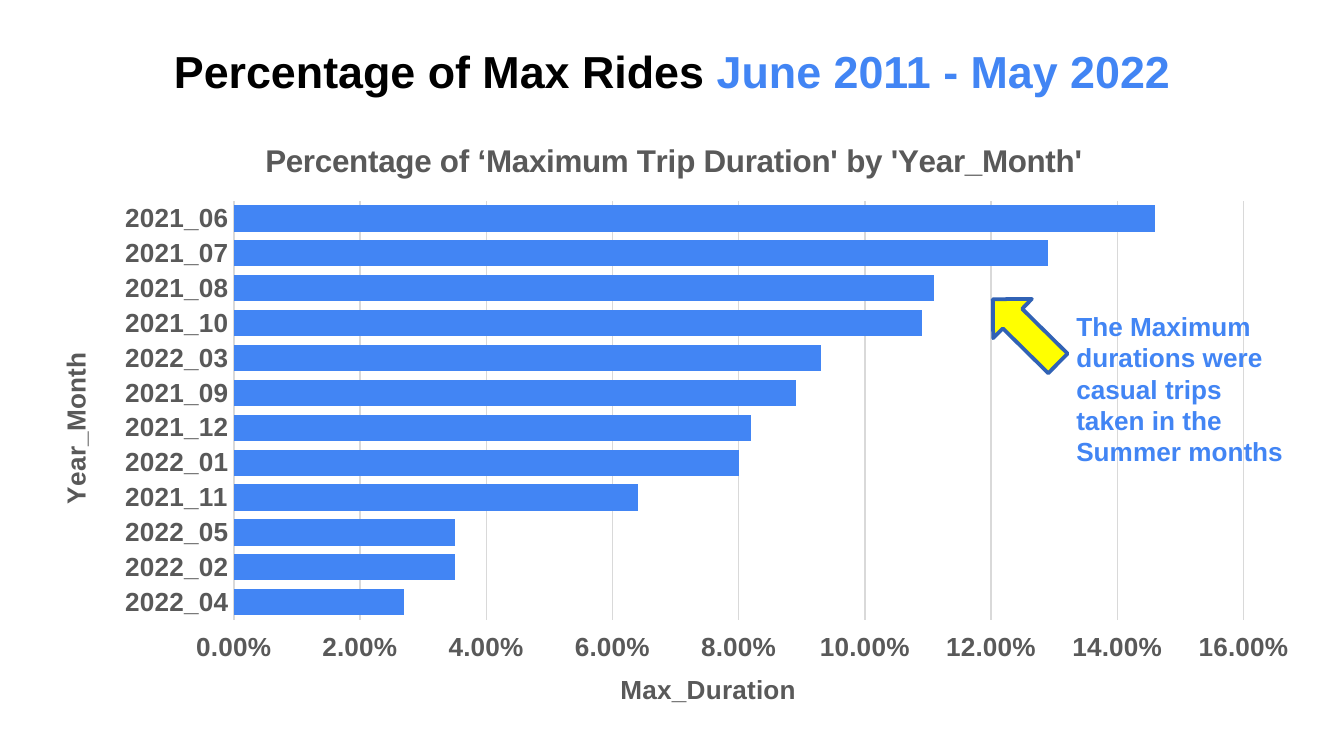
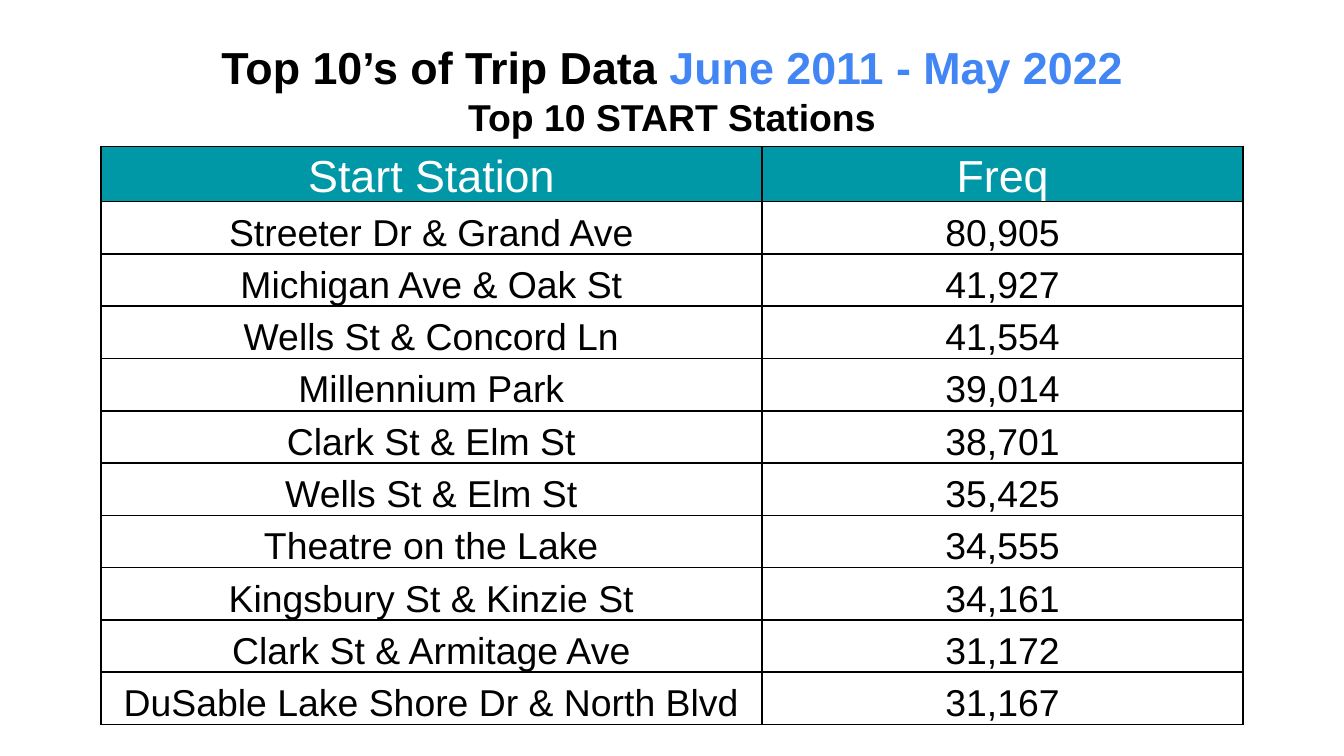
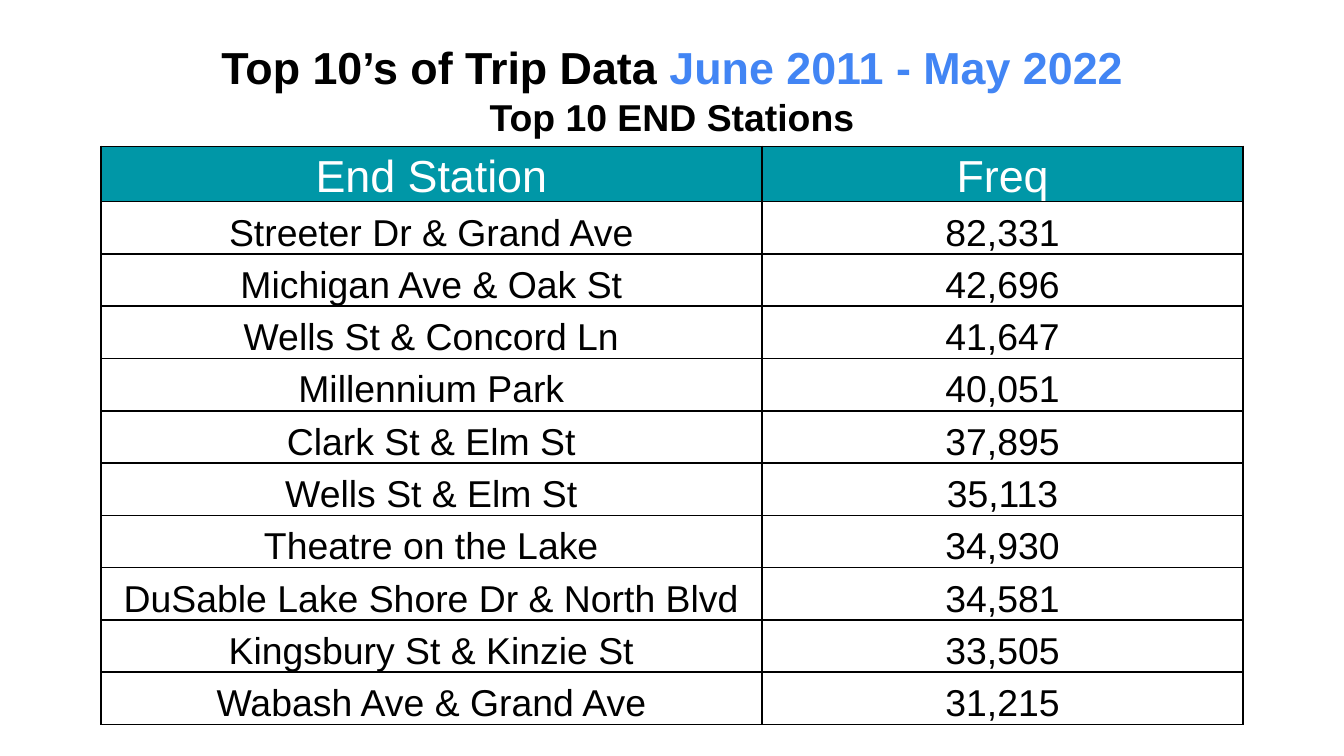
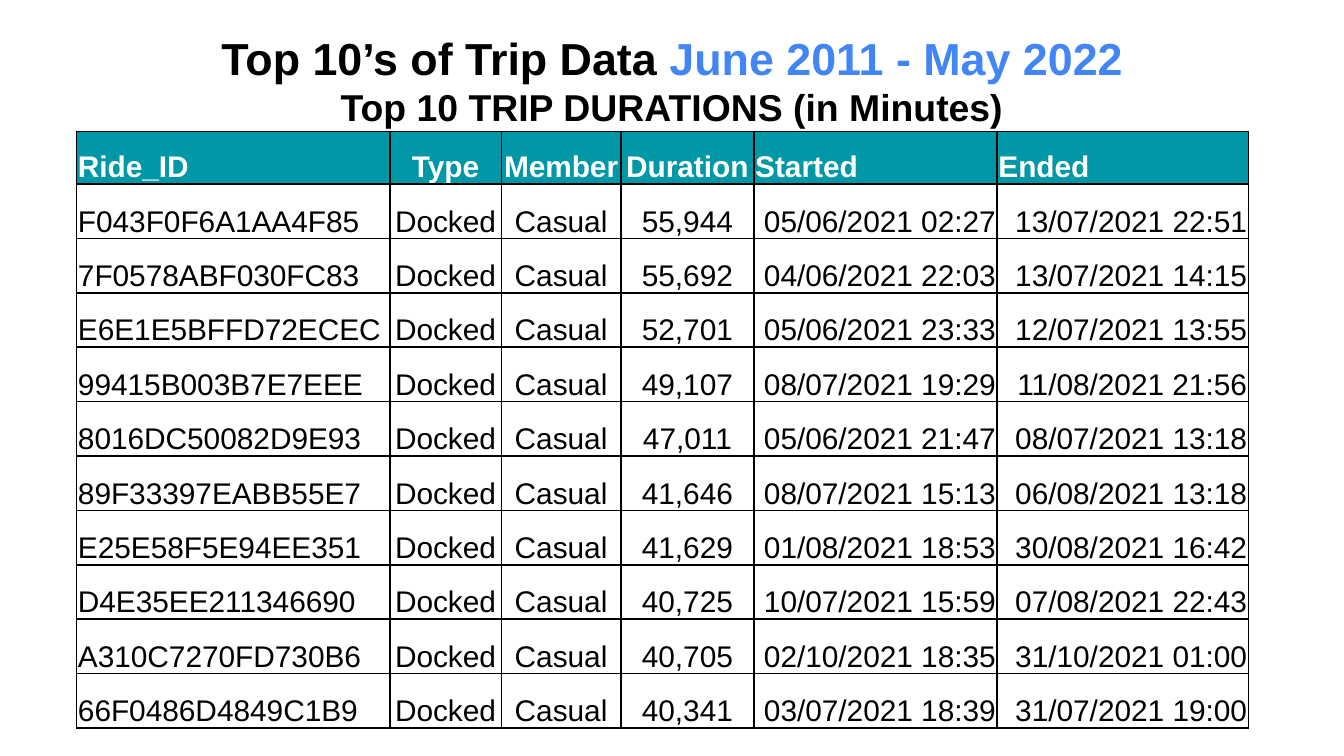
"""Build four slides on bike trip durations and top ten lists."""
from dataclasses import dataclass

from lxml import etree
from pptx import Presentation
from pptx.chart.data import CategoryChartData
from pptx.dml.color import RGBColor
from pptx.enum.chart import XL_CHART_TYPE, XL_TICK_LABEL_POSITION, XL_TICK_MARK
from pptx.enum.shapes import MSO_SHAPE
from pptx.enum.text import MSO_ANCHOR, PP_ALIGN
from pptx.oxml import parse_xml
from pptx.oxml.ns import nsdecls, qn
from pptx.util import Inches, Pt

FONT = "Arial"
BLACK, WHITE, BLUE, TEAL = "000000", "FFFFFF", "4285F4", "0097A7"
GRAY, GRID = "595959", "D9D9D9"
YELLOW, DARK_BLUE = "FFFF00", "3162B5"
PERIOD = "June 2011 - May 2022"
TRIP_TITLE = "Top 10’s of Trip Data "
LEFT, CENTER, RIGHT = PP_ALIGN.LEFT, PP_ALIGN.CENTER, PP_ALIGN.RIGHT


@dataclass
class Box:
    """Place of an element, in inches."""
    left: float
    top: float
    width: float
    height: float

    def emu(self):
        """Return the four lengths in the order python-pptx expects."""
        return [Inches(v) for v in (self.left, self.top, self.width, self.height)]


@dataclass
class Column:
    """One table column: heading, width in inches and alignments."""
    heading: str
    width: float
    align: PP_ALIGN = CENTER
    heading_align: PP_ALIGN = CENTER


@dataclass
class TableStyle:
    """Table and header heights in inches, text sizes in points."""
    height: float
    header_height: float
    header_size: float
    body_size: float
    header_bold: bool = False


def rgb(color: str) -> RGBColor:
    """Turn a hex string into a colour."""
    return RGBColor.from_string(color)


def style_font(font, size: float, color: str, bold: bool = True) -> None:
    """Apply the deck's font with a size, colour and weight."""
    font.name, font.size, font.bold = FONT, Pt(size), bold
    font.color.rgb = rgb(color)


def add_runs(paragraph, runs, size: float, align=LEFT, bold: bool = True) -> None:
    """Fill a paragraph with (text, colour) runs."""
    paragraph.alignment = align
    for text, color in runs:
        run = paragraph.add_run()
        run.text = text
        style_font(run.font, size, color, bold)


def add_text(slide, box: Box, runs, size: float, align=CENTER) -> None:
    """Add a wrapping text box with one paragraph."""
    frame = slide.shapes.add_textbox(*box.emu()).text_frame
    frame.word_wrap = True
    add_runs(frame.paragraphs[0], runs, size, align)


def add_title(slide, box: Box, text: str) -> None:
    """Add a slide title followed by the period in blue."""
    add_text(slide, box, [(text, BLACK), (PERIOD, BLUE)], 24)


def add_trip_heading(slide, top: float, subtitle: str) -> None:
    """Add the shared top ten title with its subtitle."""
    add_title(slide, Box(1.49, top, 7.02, 0.5), TRIP_TITLE)
    add_text(slide, Box(1.49, top + 0.4, 7.02, 0.44), [(subtitle, BLACK)], 20)


def add_borders(cell) -> None:
    """Draw a one point black line on every side of a cell."""
    properties = cell._tc.get_or_add_tcPr()
    for side in ("lnL", "lnR", "lnT", "lnB"):
        properties.append(parse_xml(
            f'<a:{side} {nsdecls("a")} w="{Pt(1)}"><a:solidFill>'
            f'<a:srgbClr val="{BLACK}"/></a:solidFill></a:{side}>'))


def fill_cell(cell, text: str, size: float, align, header: bool, bold: bool) -> None:
    """Write and format one table cell."""
    cell.margin_left = cell.margin_right = cell.margin_top = Inches(0.01)
    cell.margin_bottom = 0
    cell.vertical_anchor = MSO_ANCHOR.BOTTOM
    add_borders(cell)
    if header:
        cell.fill.solid()
        cell.fill.fore_color.rgb = rgb(TEAL)
    else:
        cell.fill.background()
    color = WHITE if header else BLACK
    add_runs(cell.text_frame.paragraphs[0], [(text, color)], size, align, bold)


def add_grid(slide, left: float, top: float, columns, rows, style: TableStyle) -> None:
    """Add a bordered table with a teal heading row and equal body rows."""
    box = Box(left, top, sum(c.width for c in columns), style.height)
    table = slide.shapes.add_table(len(rows) + 1, len(columns), *box.emu()).table
    table.first_row = table.horz_banding = False
    row_height = (style.height - style.header_height) / len(rows)
    for index, row in enumerate(table.rows):
        row.height = Inches(row_height if index else style.header_height)
    for x, column in enumerate(columns):
        table.columns[x].width = Inches(column.width)
        fill_cell(table.cell(0, x), column.heading, style.header_size,
                  column.heading_align, True, style.header_bold)
        for y, row in enumerate(rows, 1):
            fill_cell(table.cell(y, x), row[x], style.body_size,
                      column.align, False, False)


def set_layout(parent, **fractions: float) -> None:
    """Place a chart part by fractions of the chart area."""
    layout = parent.find(qn("c:layout"))
    if layout is None:
        layout = etree.Element(qn("c:layout"))
        text = parent.find(qn("c:tx"))
        parent.insert(0 if text is None else parent.index(text) + 1, layout)
    manual = etree.SubElement(layout, qn("c:manualLayout"))
    if "w" in fractions:
        etree.SubElement(manual, qn("c:layoutTarget"), val="inner")
    for name in ("x", "y"):
        etree.SubElement(manual, qn(f"c:{name}Mode"), val="edge")
    for name, value in fractions.items():
        etree.SubElement(manual, qn(f"c:{name}"), val=str(value))


def add_axis_title(axis, text: str, x: float, y: float) -> None:
    """Title an axis and style its labels."""
    axis.major_tick_mark = axis.minor_tick_mark = XL_TICK_MARK.NONE
    style_font(axis.tick_labels.font, 14, GRAY)
    title = axis.axis_title
    add_runs(title.text_frame.paragraphs[0], [(text, GRAY)], 14, CENTER)
    set_layout(title._element, x=x, y=y)


def style_line(line, color: str, width: float) -> None:
    """Give a line its colour and width in points."""
    line.color.rgb, line.width = rgb(color), Pt(width)


def add_duration_chart(slide, shares: dict) -> None:
    """Add the bar chart of maximum duration by month."""
    data = CategoryChartData(number_format="0.00%")
    data.categories = list(shares)
    data.add_series("Series 1", list(shares.values()))
    chart = slide.shapes.add_chart(XL_CHART_TYPE.BAR_CLUSTERED,
                                   *Box(0.23, 0.86, 9.56, 4.61).emu(), data).chart
    style_font(chart.font, 14, BLACK)
    chart.has_legend = False
    add_runs(chart.chart_title.text_frame.paragraphs[0],
             [("Percentage of ‘Maximum Trip Duration' by 'Year_Month'", GRAY)],
             16.8, CENTER)
    chart.chart_title.include_in_layout = False

    plot = chart.plots[0]
    plot.gap_width, plot.overlap, plot.vary_by_categories = 33, -30, False
    fill = plot.series[0].format.fill
    fill.solid()
    fill.fore_color.rgb = rgb(BLUE)

    months, values = chart.category_axis, chart.value_axis
    add_axis_title(months, "Year_Month", 0.018, 0.374)
    months.reverse_order = True
    style_line(months.format.line, GRID, 0.75)

    add_axis_title(values, "Max_Duration", 0.455, 0.892)
    values.minimum_scale, values.maximum_scale, values.major_unit = 0, 0.16, 0.02
    values.tick_label_position = XL_TICK_LABEL_POSITION.HIGH
    values.tick_labels.number_format = "0.00%"
    values.tick_labels.number_format_is_linked = False
    values.format.line.fill.background()
    style_line(values.major_gridlines.format.line, GRID, 0.75)
    plot_area = chart._chartSpace.chart.plotArea
    set_layout(plot_area, x=0.158, y=0.138, w=0.786, h=0.676)


def add_pointer(slide) -> None:
    """Add the yellow arrow that points at the summer bars."""
    arrow = slide.shapes.add_shape(MSO_SHAPE.RIGHT_ARROW,
                                   *Box(7.29, 2.26, 0.68, 0.41).emu())
    arrow.rotation = 224.6
    arrow.shadow.inherit = False
    arrow.fill.solid()
    arrow.fill.fore_color.rgb = rgb(YELLOW)
    style_line(arrow.line, DARK_BLUE, 2)


def add_station_slide(slide, kind: str, rows) -> None:
    """Build a top ten slide for start or end stations."""
    columns = [Column(f"{kind} Station", 4.92), Column("Freq", 3.58)]
    add_trip_heading(slide, 0.25, f"Top 10 {kind.upper()} Stations")
    add_grid(slide, 0.75, 1.09, columns, rows, TableStyle(4.3, 0.41, 24, 20))


MONTH_SHARES = {
    "2021_06": 0.146, "2021_07": 0.129, "2021_08": 0.111, "2021_10": 0.109,
    "2022_03": 0.093, "2021_09": 0.089, "2021_12": 0.082, "2022_01": 0.08,
    "2021_11": 0.064, "2022_05": 0.035, "2022_02": 0.035, "2022_04": 0.027,
}
START_STATIONS = [
    ("Streeter Dr & Grand Ave", "80,905"),
    ("Michigan Ave & Oak St", "41,927"),
    ("Wells St & Concord Ln", "41,554"),
    ("Millennium Park", "39,014"),
    ("Clark St & Elm St", "38,701"),
    ("Wells St & Elm St", "35,425"),
    ("Theatre on the Lake", "34,555"),
    ("Kingsbury St & Kinzie St", "34,161"),
    ("Clark St & Armitage Ave", "31,172"),
    ("DuSable Lake Shore Dr & North Blvd", "31,167"),
]
END_STATIONS = [
    ("Streeter Dr & Grand Ave", "82,331"),
    ("Michigan Ave & Oak St", "42,696"),
    ("Wells St & Concord Ln", "41,647"),
    ("Millennium Park", "40,051"),
    ("Clark St & Elm St", "37,895"),
    ("Wells St & Elm St", "35,113"),
    ("Theatre on the Lake", "34,930"),
    ("DuSable Lake Shore Dr & North Blvd", "34,581"),
    ("Kingsbury St & Kinzie St", "33,505"),
    ("Wabash Ave & Grand Ave", "31,215"),
]
LONGEST_TRIPS = [
    ("F043F0F6A1AA4F85", "55,944", "05/06/2021 02:27", "13/07/2021 22:51"),
    ("7F0578ABF030FC83", "55,692", "04/06/2021 22:03", "13/07/2021 14:15"),
    ("E6E1E5BFFD72ECEC", "52,701", "05/06/2021 23:33", "12/07/2021 13:55"),
    ("99415B003B7E7EEE", "49,107", "08/07/2021 19:29", "11/08/2021 21:56"),
    ("8016DC50082D9E93", "47,011", "05/06/2021 21:47", "08/07/2021 13:18"),
    ("89F33397EABB55E7", "41,646", "08/07/2021 15:13", "06/08/2021 13:18"),
    ("E25E58F5E94EE351", "41,629", "01/08/2021 18:53", "30/08/2021 16:42"),
    ("D4E35EE211346690", "40,725", "10/07/2021 15:59", "07/08/2021 22:43"),
    ("A310C7270FD730B6", "40,705", "02/10/2021 18:35", "31/10/2021 01:00"),
    ("66F0486D4849C1B9", "40,341", "03/07/2021 18:39", "31/07/2021 19:00"),
]
TRIP_COLUMNS = [
    Column("Ride_ID", 2.33, LEFT, LEFT), Column("Type", 0.83),
    Column("Member", 0.89), Column("Duration", 0.99),
    Column("Started", 1.81, RIGHT, LEFT), Column("Ended", 1.87, RIGHT, LEFT),
]

deck = Presentation()
deck.slide_width, deck.slide_height = Inches(10), Inches(10 * 9 / 16)
blank = deck.slide_layouts[6]
rides, starts, ends, trips = [deck.slides.add_slide(blank) for _ in range(4)]

add_duration_chart(rides, MONTH_SHARES)
add_title(rides, Box(0.72, 0.28, 8.56, 0.5), "Percentage of Max Rides ")
add_pointer(rides)
add_text(rides, Box(7.91, 2.26, 1.79, 1.35),
         [("The Maximum durations were casual trips taken in the Summer months", BLUE)],
         14, LEFT)

add_station_slide(starts, "Start", START_STATIONS)
add_station_slide(ends, "End", END_STATIONS)

add_trip_heading(trips, 0.18, "Top 10 TRIP DURATIONS (in Minutes)")
trip_rows = [(ride, "Docked", "Casual", *rest) for ride, *rest in LONGEST_TRIPS]
add_grid(trips, 0.57, 0.98, TRIP_COLUMNS, trip_rows,
         TableStyle(4.44, 0.39, 16, 16, header_bold=True))

deck.save("out.pptx")
